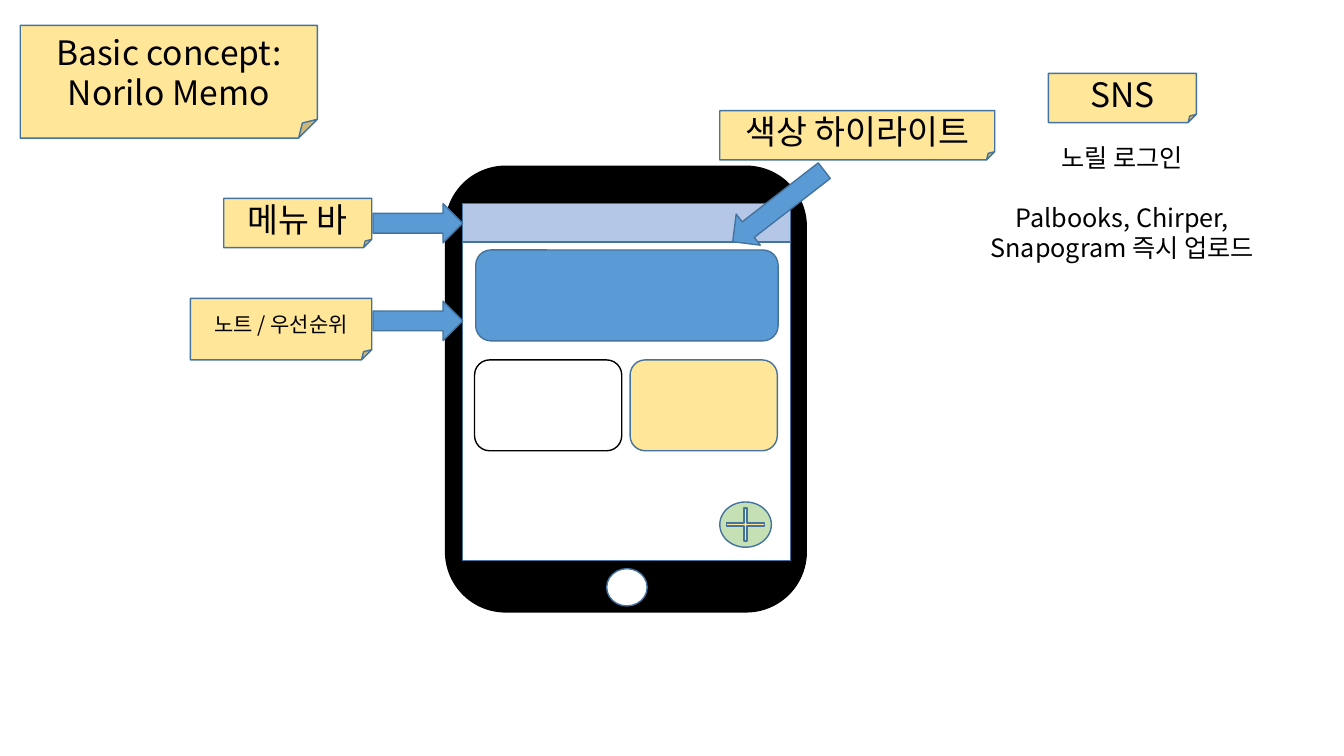
from pptx import Presentation
from pptx.dml.color import RGBColor
from pptx.enum.shapes import MSO_SHAPE
from pptx.enum.text import MSO_ANCHOR, PP_ALIGN
from pptx.oxml.ns import qn
from pptx.util import Cm, Pt
from lxml import etree

RECT = MSO_SHAPE.RECTANGLE
ROUND = MSO_SHAPE.ROUNDED_RECTANGLE
OVAL = MSO_SHAPE.OVAL
NOTE = MSO_SHAPE.FOLDED_CORNER
ARROW = MSO_SHAPE.LEFT_ARROW
PLUS = MSO_SHAPE.MATH_PLUS
MIDDLE = MSO_ANCHOR.MIDDLE
CENTER = PP_ALIGN.CENTER

FONT = "Noto Sans CJK KR"
LEADING = 1.19
COLORS = {
    "black": "000000",
    "white": "FFFFFF",
    "edge": "43739E",
    "blue": "5B9BD5",
    "pale": "B4C7E7",
    "yellow": "FFE699",
    "green": "C5E0B4",
}


def color(name):
    return RGBColor.from_string(COLORS[name])


class Sketch:
    """Holds the slide and the common look of its elements."""

    def __init__(self, slide):
        self.shapes = slide.shapes

    def shape(self, kind, box, fill, edge="edge"):
        item = self.shapes.add_shape(kind, *map(Cm, box))
        item.shadow.inherit = False
        item.fill.solid()
        item.fill.fore_color.rgb = color(fill)
        item.line.color.rgb = color(edge)
        item.line.width = Pt(1)
        return item

    def letter(self, item, text, size, gap=0):
        """Set centred text; gap is the space before later paragraphs."""
        frame = item.text_frame
        frame.word_wrap = True
        frame.text = text
        for i, para in enumerate(frame.paragraphs):
            para.alignment = CENTER
            para.line_spacing = Pt(round(size * LEADING, 1))
            para.space_before = Pt(gap if i else 0)
            for run in para.runs:
                run.font.name = FONT
                run.font.size = Pt(size)
                run.font.color.rgb = color("black")
                asian = etree.SubElement(run._r.get_or_add_rPr(), qn("a:ea"))
                asian.set("typeface", FONT)

    def note(self, box, text, size=24):
        item = self.shape(NOTE, box, "yellow")
        item.text_frame.vertical_anchor = MIDDLE
        self.letter(item, text, size)

    def arrow(self, left, top, width, turn=180):
        item = self.shape(ARROW, (left, top, width, 0.99), "blue")
        item.rotation = turn

    def label(self, box, text, size, gap):
        self.letter(self.shapes.add_textbox(*map(Cm, box)), text, size, gap)


def main():
    deck = Presentation()
    deck.slide_width, deck.slide_height = Cm(33.87), Cm(19.05)
    sketch = Sketch(deck.slides.add_slide(deck.slide_layouts[6]))

    # Phone
    sketch.shape(ROUND, (11.23, 4.19, 9.09, 11.23), "black", "black")
    sketch.shape(RECT, (11.66, 5.13, 8.26, 8.99), "white")
    sketch.shape(OVAL, (15.29, 14.33, 1.02, 0.94), "white")

    # Sharing
    sketch.label((24.03, 3.48, 8.51, 3.33),
                 "노릴 로그인\nPalbooks, Chirper, Snapogram 즉시 업로드", 18, 21.4)
    sketch.note((26.42, 1.85, 3.73, 1.24), "SNS")

    # Menu bar
    sketch.shape(RECT, (11.66, 5.13, 8.26, 0.97), "pale")
    sketch.arrow(9.4, 5.13, 2.26)
    sketch.note((5.64, 5, 3.73, 1.24), "메뉴 바")

    # Memo cards
    sketch.shape(ROUND, (11.99, 6.3, 7.62, 2.29), "blue")
    sketch.shape(ROUND, (11.96, 9.07, 3.71, 2.29), "white", "black")
    sketch.shape(ROUND, (15.88, 9.07, 3.71, 2.29), "yellow")

    # Add button
    button = (18.14, 12.65, 1.3, 1.14)
    sketch.shape(OVAL, button, "green")
    sketch.shape(PLUS, button, "yellow").adjustments[0] = 0.07

    # Priority, highlight and title
    sketch.arrow(9.4, 7.59, 2.26)
    sketch.note((4.8, 7.52, 4.57, 1.55), "노트 / 우선순위", 15)
    sketch.arrow(18.16, 4.7, 2.92, 322.2)
    sketch.note((18.14, 2.79, 6.93, 1.24), "색상 하이라이트")
    sketch.note((0.51, 0.64, 7.49, 2.84), "Basic concept:\nNorilo Memo")

    deck.save("out.pptx")


if __name__ == "__main__":
    main()
